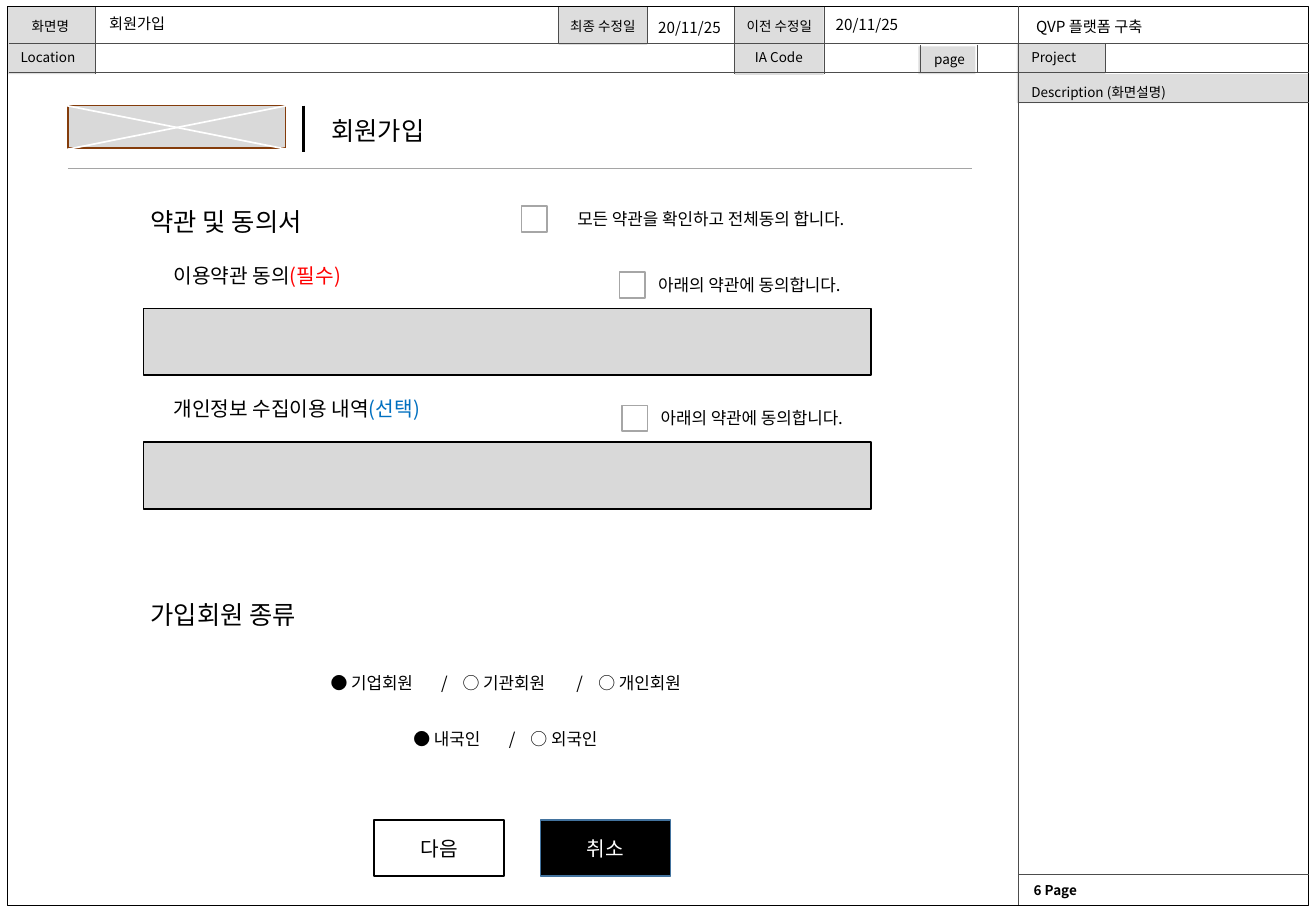
"""Build the sign-up wireframe slide with its header form and agreement boxes."""
from typing import NamedTuple

from lxml import etree
from pptx import Presentation
from pptx import util as u
from pptx.dml.color import RGBColor
from pptx.enum import shapes, text
from pptx.oxml.ns import qn

FONT = "Noto Sans CJK KR"
BLACK, WHITE, GREY, RULE, CELL = "000000", "FFFFFF", "D9D9D9", "4D4D4D", "DDDDDD"
LEFT, CENTER = text.PP_ALIGN.LEFT, text.PP_ALIGN.CENTER


class Box(NamedTuple):
    x: float
    y: float
    w: float
    h: float
    fill: str | None = WHITE
    line: str | None = WHITE
    weight: float = 1


class Label(NamedTuple):
    x: float
    y: float
    w: float
    words: str
    size: float = 8
    align: text.PP_ALIGN = LEFT
    bold: bool = False


class Caption(NamedTuple):
    box: Box
    words: str
    size: float
    align: text.PP_ALIGN = LEFT
    color: str = BLACK
    note: str = ""
    note_color: str = BLACK


class Rule(NamedTuple):
    x1: float
    y1: float
    x2: float
    y2: float
    color: str = RULE
    weight: float = 0.25


class Radio(NamedTuple):
    y: float
    indent: float
    words: str
    tabs: tuple[float, ...]


def rgb(color: str) -> RGBColor:
    return RGBColor.from_string(color)


def style(p, size: float, align: text.PP_ALIGN, color: str = BLACK, bold: bool = False) -> None:
    p.alignment = align
    p.font.size, p.font.bold, p.font.name = u.Pt(size), bold, FONT
    p.font.color.rgb = rgb(color)
    etree.SubElement(p._p.pPr.find(qn("a:defRPr")), qn("a:ea")).set("typeface", FONT)


def draw_box(s, b: Box):
    sp = s.shapes.add_shape(shapes.MSO_SHAPE.RECTANGLE, u.Cm(b.x), u.Cm(b.y), u.Cm(b.w), u.Cm(b.h))
    sp.shadow.inherit = False
    if b.fill:
        sp.fill.solid()
        sp.fill.fore_color.rgb = rgb(b.fill)
    else:
        sp.fill.background()
    if b.line:
        sp.line.color.rgb = rgb(b.line)
        sp.line.width = u.Pt(b.weight)
    else:
        sp.line.fill.background()
    return sp


def draw_rule(s, rule: Rule) -> None:
    c = s.shapes.add_connector(shapes.MSO_CONNECTOR.STRAIGHT, u.Cm(rule.x1), u.Cm(rule.y1),
                               u.Cm(rule.x2), u.Cm(rule.y2))
    c.line.color.rgb = rgb(rule.color)
    c.line.width = u.Pt(rule.weight)
    etree.SubElement(c._element.spPr, qn("a:effectLst"))


def draw_label(s, label: Label):
    tf = s.shapes.add_textbox(u.Cm(label.x), u.Cm(label.y), u.Cm(label.w), u.Cm(0.62)).text_frame
    tf.word_wrap = True
    if label.align == CENTER:
        tf.margin_left = tf.margin_right = 0
    p = tf.paragraphs[0]
    p.text = label.words
    style(p, label.size, label.align, bold=label.bold)
    return tf


def draw_caption(s, c: Caption) -> None:
    tf = draw_box(s, c.box).text_frame
    tf.word_wrap = True
    tf.vertical_anchor = text.MSO_ANCHOR.MIDDLE
    p = tf.paragraphs[0]
    p.text = c.words
    style(p, c.size, c.align, c.color)
    if c.note:
        r = p.add_run()
        r.text = c.note
        r.font.color.rgb = rgb(c.note_color)


def draw_radio(s, radio: Radio) -> None:
    tf = draw_box(s, Box(3, radio.y, 15.21, 1.35)).text_frame
    tf.word_wrap = True
    tf.margin_left = u.Cm(radio.indent)
    tf.vertical_anchor = text.MSO_ANCHOR.MIDDLE
    p = tf.paragraphs[0]
    p.text = radio.words
    tab_list = etree.SubElement(p._p.get_or_add_pPr(), qn("a:tabLst"))
    for pos in radio.tabs:
        etree.SubElement(tab_list, qn("a:tab"), pos=str(u.Cm(pos)), algn="l")
    style(p, 10, LEFT)


def cell(x: float, y: float, w: float, h: float) -> Box:
    return Box(x, y, w, h, CELL, None)


def column(x: float, top: float, bottom: float) -> Rule:
    return Rule(x, top, x, bottom)


def row(y: float, left: float = 0.18) -> Rule:
    return Rule(left, y, 27.36, y)


CELLS = [cell(15.37, 0.15, 1.85, 1.42), cell(11.68, 0.15, 1.85, 0.79), cell(0.15, 0.15, 1.85, 0.81),
         cell(0.15, 0.91, 1.85, 0.64), cell(21.26, 1.55, 6.1, 0.61), cell(21.26, 0.91, 1.85, 0.64),
         cell(19.2, 0.97, 1.19, 0.58), Box(0.15, 0.13, 27.2, 18.8, None, BLACK, 0.25)]
GRID = [column(17.22, 0.15, 1.55), column(15.34, 0.15, 1.55), column(21.29, 0.13, 18.92),
        column(23.11, 0.91, 1.52), column(13.54, 0.15, 0.91), column(11.66, 0.15, 0.91),
        column(1.98, 0.15, 1.55), column(20.42, 0.94, 1.52), column(19.23, 0.94, 1.52),
        row(0.91), row(1.52), row(2.13, 21.31), row(18.29, 21.31)]
LABELS = [Label(15.42, 0.25, 1.75, "이전 수정일", align=CENTER), Label(0.18, 0.25, 1.75, "화면명", align=CENTER),
          Label(15.37, 0.91, 1.83, "IA Code", align=CENTER), Label(0.18, 0.91, 1.83, "Location"),
          Label(11.73, 0.25, 1.75, "최종 수정일", align=CENTER), Label(19.23, 0.94, 1.24, "page", align=CENTER),
          Label(21.36, 18.31, 2, "6 Page", bold=True), Label(2.03, 0.18, 2.2, "회원가입", 9),
          Label(13.51, 0.25, 2.2, "20/11/25", 9), Label(17.22, 0.2, 2.2, "20/11/25", 9),
          Label(21.41, 0.23, 4, "QVP 플랫폼 구축", 9)]
LOGO = Box(1.42, 2.21, 4.55, 0.89, GREY, "843C0B")
LOGO_RULES = [Rule(1.4, 2.21, 5.99, 3.12, WHITE, 1), Rule(1.42, 3.12, 5.99, 2.21, WHITE, 1),
              Rule(1.42, 3.53, 20.32, 3.53, "A5A5A5", 0.5)]
TITLE_BAR = Rule(6.35, 2.21, 6.35, 3.18, BLACK, 1.5)
AGREE = "아래의 약관에 동의합니다."
CAPTIONS = [Caption(Box(6.68, 2.29, 4.19, 0.89), "회원가입", 15),
            Caption(Box(7.82, 17.15, 2.72, 1.17, WHITE, BLACK), "다음", 12, CENTER),
            Caption(Box(11.3, 17.15, 2.72, 1.17, BLACK, "43739E"), "취소", 12, CENTER, WHITE),
            Caption(Box(11.43, 4.32, 6.86, 0.51), "모든 약관을 확인하고 전체동의 합니다.", 10, CENTER),
            Caption(Box(3.38, 5.18, 4.65, 1.17), "이용약관 동의", 12, note="(필수)", note_color="FF0000"),
            Caption(Box(3.38, 7.95, 6.35, 1.17), "개인정보 수집이용 내역", 12, note="(선택)", note_color="0070C0"),
            Caption(Box(2.9, 12.4, 5.99, 0.89), "가입회원 종류", 15),
            Caption(Box(13.56, 8.51, 4.65, 0.46), AGREE, 10),
            Caption(Box(13.51, 5.72, 4.65, 0.46), AGREE, 10),
            Caption(Box(2.9, 4.19, 5.99, 0.89), "약관 및 동의서", 15)]
TERMS = [Box(3, y, 15.21, 1.4, GREY, BLACK) for y in (6.45, 9.25)]
CHECKS = [Box(x, y, 0.54, 0.54, WHITE, "A6A6A6") for x, y in ((13, 8.48), (12.95, 5.69), (10.9, 4.31))]
RADIOS = [Radio(13.61, 3.91, "● 기업회원\t/\t○ 기관회원\t/\t○ 개인회원", (2.31, 2.76, 5.14, 5.6)),
          Radio(14.78, 5.64, "● 내국인\t/\t○ 외국인", (2, 2.45))]


def main() -> None:
    prs = Presentation()
    prs.slide_width, prs.slide_height = u.Cm(27.51), u.Cm(19.05)
    s = prs.slides.add_slide(prs.slide_layouts[6])
    for b in CELLS:
        draw_box(s, b)
    for rule in GRID:
        draw_rule(s, rule)
    for label in LABELS:
        draw_label(s, label)
    p = draw_label(s, Label(21.31, 0.91, 6, "Project")).add_paragraph()
    p.text = "Description (화면설명)"
    p.line_spacing, p.space_before = u.Pt(19), u.Pt(1.6)
    style(p, 8, LEFT)
    draw_box(s, LOGO)
    for rule in LOGO_RULES:
        draw_rule(s, rule)
    for radio in RADIOS:
        draw_radio(s, radio)
    for caption in CAPTIONS:
        draw_caption(s, caption)
    for b in TERMS + CHECKS:
        draw_box(s, b)
    draw_rule(s, TITLE_BAR)
    prs.save("out.pptx")


if __name__ == "__main__":
    main()
